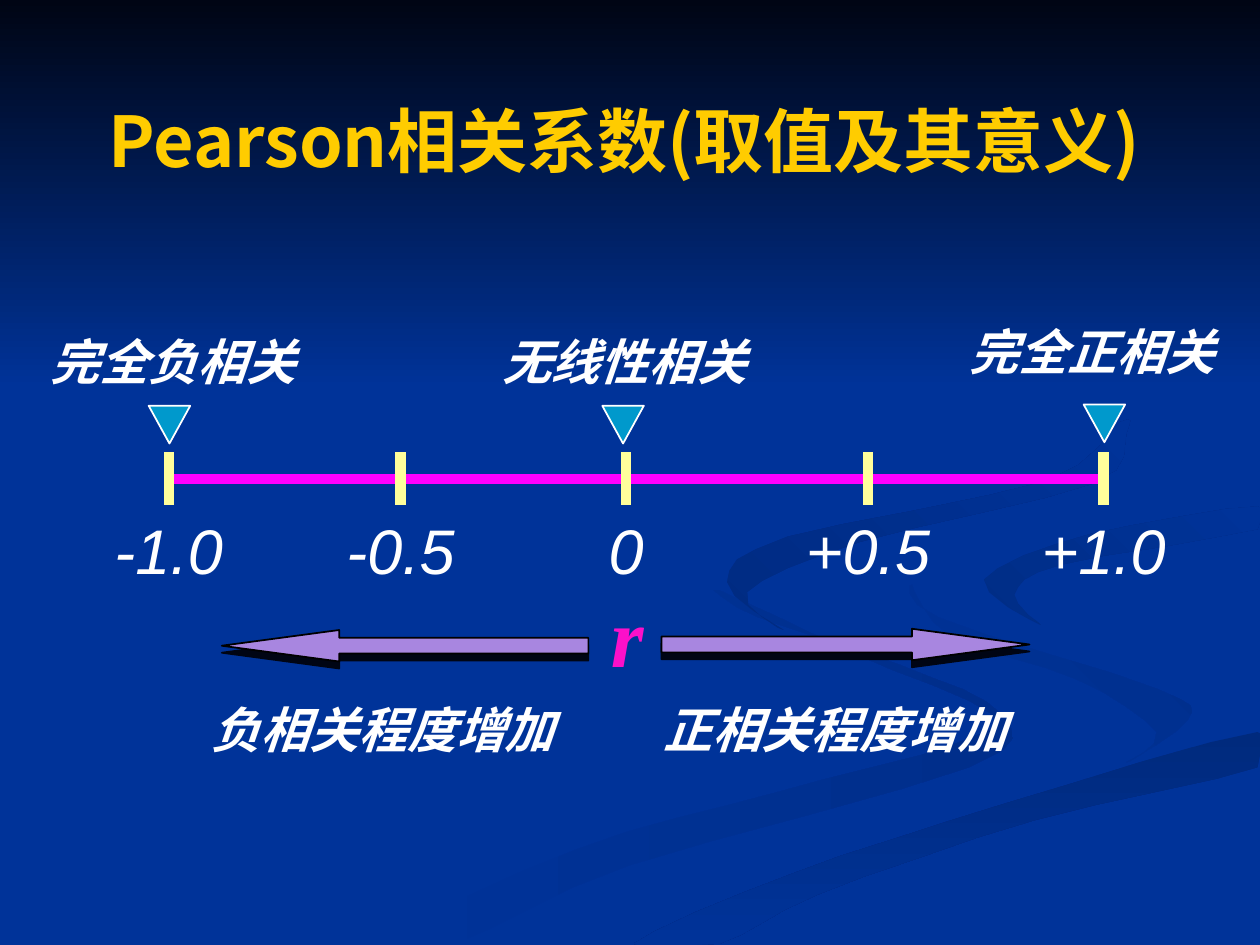
import pptx
import pptx.util
import pptx.dml.color
import pptx.enum.shapes
import pptx.enum.text
import pptx.oxml.ns
import lxml.etree

PX = 9144  # 100 px to the inch
SHAPE = pptx.enum.shapes.MSO_SHAPE
ALIGN = pptx.enum.text.PP_ALIGN
NAVY, CJK = "003399", "Noto Sans CJK SC"

# Ribbons: knots of the outline in px, start colour, end colour, angle
RIBBONS = [
    ([(300, 749), (458, 674), (616, 629), (759, 602 - 12), (786, 566),
      (679, 519), (570, 468), (602, 490), (715, 528), (795, 567),
      (769, 609), (499, 687), (361, 749)], NAVY, "002E8B", 0),
    ([(724, 464), (745, 490), (919, 547), (943, 571), (894, 605),
      (918, 581), (854, 539), (755, 505)], NAVY, "002E8B", 315),
    ([(503, 749), (630, 693), (797, 638), (998, 581), (998, 609),
      (821, 651), (649, 710), (571, 749)], "002A7D", NAVY, 90),
    ([(998, 402), (865, 424), (781, 460), (826, 496), (805, 472),
      (843, 448), (998, 420)], "002D86", NAVY, 315),
    ([(889, 335), (830, 382), (625, 426), (577, 462), (622, 500),
      (593, 470), (683, 430), (867, 384), (894, 344)],
     "002B82", NAVY, 315),
]


def px(n):
    return pptx.util.Emu(round(n * PX))


def rgb(code):
    return pptx.dml.color.RGBColor.from_string(code)


def style(para, size, face, tint, bold=False, slant=False, align=ALIGN.LEFT):
    para.alignment = align
    font = para.font
    font.size, font.name = pptx.util.Pt(size), face
    font.bold, font.italic = bold, slant
    font.color.rgb = rgb(tint)
    # East Asian face, next to the Latin one
    latin = para._p.pPr.find(".//" + pptx.oxml.ns.qn("a:latin"))
    east = lxml.etree.Element(pptx.oxml.ns.qn("a:ea"), typeface=CJK)
    latin.addnext(east)


def label(slide, box, text, size, face="Arial", tint="FFFFFF", bold=True,
          align=ALIGN.CENTER):
    frame = slide.shapes.add_textbox(*map(px, box)).text_frame
    frame.word_wrap = True
    frame.auto_size = pptx.enum.text.MSO_AUTO_SIZE.SHAPE_TO_FIT_TEXT
    frame.text = text
    style(frame.paragraphs[0], size, face, tint, bold, True, align)


def line(slide, x1, y1, x2, y2, tint):
    rule = slide.shapes.add_connector(
        pptx.enum.shapes.MSO_CONNECTOR.STRAIGHT, *map(px, (x1, y1, x2, y2)))
    rule.line.color.rgb = rgb(tint)
    rule.line.width = pptx.util.Pt(6)
    lxml.etree.SubElement(rule._element.spPr, pptx.oxml.ns.qn("a:effectLst"))


def solid(slide, kind, box, fill, edge):
    shape = slide.shapes.add_shape(kind, *map(px, box))
    shape.shadow.inherit = False
    shape.fill.solid()
    shape.fill.fore_color.rgb = rgb(fill)
    shape.line.color.rgb = rgb(edge)
    shape.line.width = pptx.util.Pt(1)
    return shape


def smooth(knots, steps=4):
    """Points of a closed Catmull-Rom curve, kept on the slide."""
    count, points = len(knots), []
    for i in range(count):
        near = [knots[(i + k) % count] for k in (-1, 0, 1, 2)]
        for t in (n / steps for n in range(steps)):
            x, y = ((2 * b + (c - a) * t + (2 * a - 5 * b + 4 * c - d) * t ** 2
                     + (3 * b - a - 3 * c + d) * t ** 3) / 2
                    for a, b, c, d in zip(*near))
            points.append((min(x, 1000), min(y, 750)))
    return points


def shade(shape, first, last, angle):
    shape.shadow.inherit = False
    shape.line.fill.background()
    shape.fill.gradient()
    shape.fill.gradient_angle = (360 - angle) % 360
    for stop, tint, place in zip(shape.fill.gradient_stops,
                                 (first, last), (0, 1)):
        stop.color.rgb = rgb(tint)
        stop.position = place


def backdrop(slide, width):
    slide.background.fill.solid()
    slide.background.fill.fore_color.rgb = rgb(NAVY)
    for knots, first, last, angle in RIBBONS:
        points = smooth(knots)
        pen = slide.shapes.build_freeform(*points[0], scale=PX)
        pen.add_line_segments(points[1:], close=True)
        shade(pen.convert_to_shape(), first, last, angle)
    # Dark band at the top
    band = slide.shapes.add_shape(SHAPE.RECTANGLE, 0, 0, px(width), px(308))
    shade(band, "000514", NAVY, 90)


def heading(slide, box, text):
    title = slide.shapes.title
    title.left, title.top, title.width, title.height = map(px, box)
    frame = title.text_frame
    frame.text = text
    frame.vertical_anchor = pptx.enum.text.MSO_ANCHOR.MIDDLE
    style(frame.paragraphs[0], 40, CJK, "FFCC00", True, align=ALIGN.CENTER)
    # Bring the title in front of the backdrop
    slide.shapes._spTree.append(title._element)


def scale(slide, box, marks):
    left, top, width, height = box
    mid = top + height / 2
    line(slide, left, mid, left + width, mid, "FF00FF")
    for shift, text in marks:
        x = left + shift
        line(slide, x, top, x, top + height, "FFFF9B")
        label(slide, (x - 83, top + height, 166, 70), text, 36, bold=False)


def callout(slide, box, text, tip):
    left, top, width, height = box
    label(slide, (left, top, width, 56), text, 28)
    mark = solid(slide, SHAPE.ISOSCELES_TRIANGLE,
                 (left + tip, top + height - 30, 33, 30), "0099CC", "FFFFFF")
    mark.rotation = 180


def trend(slide, box, kind, text, indent):
    left, top, width, height = box
    arrow = solid(slide, kind, (left, top, width, 25), "A886E0", "000000")
    arrow.adjustments[0], arrow.adjustments[1] = 0.5, 3.73
    # Hard shadow below the arrow
    qn = pptx.oxml.ns.qn
    effects = arrow._element.spPr.find(qn("a:effectLst"))
    cast = lxml.etree.SubElement(
        effects, qn("a:outerShdw"), blurRad="0", dist=str(int(pptx.util.Pt(4))),
        dir="5400000", algn="ctr", rotWithShape="0")
    lxml.etree.SubElement(cast, qn("a:srgbClr"), val="000514")
    label(slide, (left + indent, top + height - 56, 300, 56), text, 28,
          align=ALIGN.LEFT)


def main():
    deck = pptx.Presentation()
    deck.slide_width, deck.slide_height = px(1000), px(750)
    slide = deck.slides.add_slide(deck.slide_layouts[5])
    backdrop(slide, 1000)
    heading(slide, (27, 60, 937, 102), "Pearson相关系数(取值及其意义)")
    scale(slide, (134, 359, 742, 42),
          [(0, "-1.0"), (184, "-0.5"), (363, "0"), (555, "+0.5"),
           (742, "+1.0")])
    callout(slide, (25, 258, 225, 94), "完全负相关", 93)
    callout(slide, (383, 258, 225, 94), "无线性相关", 95)
    callout(slide, (758, 250, 217, 101), "完全正相关", 102)
    trend(slide, (176, 500, 291, 106), SHAPE.LEFT_ARROW, "负相关程度增加", -18)
    label(slide, (475, 458, 42, 90), "r", 48, "Times New Roman", "FC10C9",
          align=ALIGN.LEFT)
    trend(slide, (525, 499, 292, 107), SHAPE.RIGHT_ARROW, "正相关程度增加", -8)
    deck.save("out.pptx")


if __name__ == "__main__":
    main()
